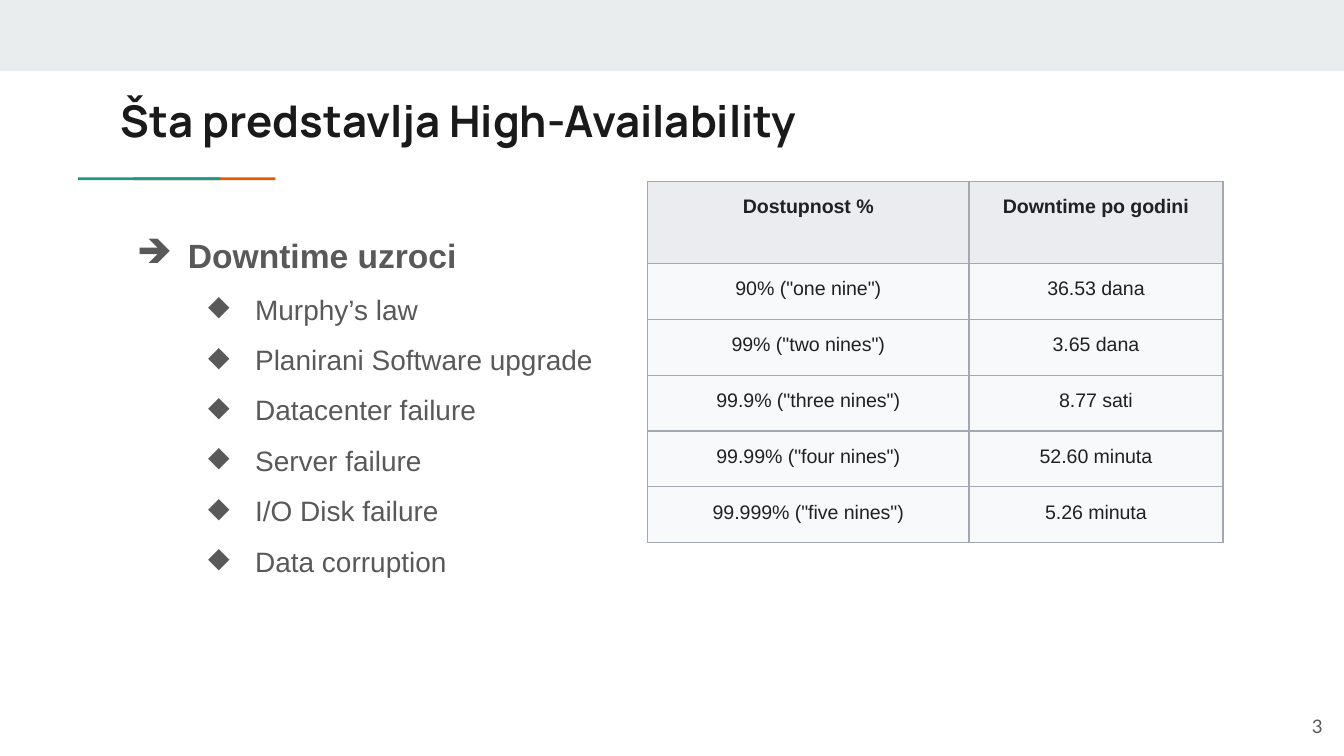
from lxml.etree import SubElement
from pptx import Presentation
from pptx.dml.color import RGBColor
from pptx.enum.shapes import MSO_SHAPE as Shape
from pptx.enum.text import MSO_ANCHOR as Anchor, MSO_AUTO_SIZE as AutoSize, PP_ALIGN as Align
from pptx.oxml.ns import qn
from pptx.util import Inches, Pt

INK = RGBColor(0x1A, 0x1A, 0x1A)
GREY = RGBColor(0x59, 0x59, 0x59)
BAND = RGBColor(0xE9, 0xED, 0xEE)
ORANGE = RGBColor(0xEB, 0x56, 0x00)
TEAL = RGBColor(0x1A, 0x99, 0x88)
TABLE_INK = RGBColor(0x20, 0x21, 0x22)
TABLE_LINE = RGBColor(0xA2, 0xA9, 0xB1)
HEADER_FILL = RGBColor(0xEA, 0xEC, 0xF0)
ROW_FILL = RGBColor(0xF8, 0xF9, 0xFA)

TITLE_FONT, BODY_FONT, NUMBER_FONT = "Manrope", "Arial", "Lato"

UNIT = Inches(0.1)  # the grid has 100 columns and 56.25 rows
COLUMNS, ROWS = 100, 56.25

CAUSES = [
    "Murphy’s law",
    "Planirani Software upgrade",
    "Datacenter failure",
    "Server failure",
    "I/O Disk failure",
    "Data corruption",
]
AVAILABILITY = [
    ("Dostupnost %", "Downtime po godini"),
    ('90% ("one nine")', "36.53 dana"),
    ('99% ("two nines")', "3.65 dana"),
    ('99.9% ("three nines")', "8.77 sati"),
    ('99.99% ("four nines")', "52.60 minuta"),
    ('99.999% ("five nines")', "5.26 minuta"),
]


def grid(*lengths):
    return [round(length * UNIT) for length in lengths]


def set_font(para, name, size, color, bold=False):
    font = para.font
    font.name, font.size, font.bold = name, Pt(size), bold
    font.color.rgb = color


class Page:
    """The current slide and the style of its elements."""

    def __init__(self, deck):
        self.slide = deck.slides.add_slide(deck.slide_layouts[5])

    def bar(self, left, top, width, height, color):
        box = self.slide.shapes.add_shape(Shape.RECTANGLE, *grid(left, top, width, height))
        box.shadow.inherit = False
        box.fill.solid()
        box.fill.fore_color.rgb = color
        box.line.fill.background()

    def frame(self, box, anchor):
        """Give a text box its wrapping, anchor and equal margins."""
        frame = box.text_frame
        frame.word_wrap, frame.auto_size = True, AutoSize.NONE
        frame.vertical_anchor = anchor
        frame.margin_left = frame.margin_right = UNIT
        frame.margin_top = frame.margin_bottom = UNIT
        return frame

    def title(self, text, left, top, width, height):
        box = self.slide.shapes.title
        box.left, box.top, box.width, box.height = grid(left, top, width, height)
        para = self.frame(box, Anchor.TOP).paragraphs[0]
        para.text, para.alignment = text, Align.LEFT
        set_font(para, TITLE_FONT, 23.4, INK, bold=True)

    def text_box(self, left, top, width, height, anchor=Anchor.TOP):
        box = self.slide.shapes.add_textbox(*grid(left, top, width, height))
        return self.frame(box, anchor)

    def number(self, text, *place):
        para = self.text_box(*place, anchor=Anchor.MIDDLE).paragraphs[0]
        para.text, para.alignment = text, Align.RIGHT
        set_font(para, NUMBER_FONT, 10, GREY)

    def bullet(self, para, text, mark, indent, hanging, size, bold=False):
        para.text, para.line_spacing = text, 1.5
        props = para._p.get_or_add_pPr()
        props.set("marL", str(Inches(indent)))
        props.set("indent", str(-Inches(hanging)))
        SubElement(SubElement(props, qn("a:buClr")), qn("a:srgbClr"), val=str(GREY))
        SubElement(props, qn("a:buChar"), char=mark)
        set_font(para, BODY_FONT, size, GREY, bold)

    def bullet_list(self, heading, items, *place):
        frame = self.text_box(*place)
        first = frame.paragraphs[0]
        self.bullet(first, heading, "➔", 0.5, 0.38, 18, bold=True)
        first.space_before = Pt(10)
        for item in items:
            para = frame.add_paragraph()
            para.level = 1
            self.bullet(para, item, "◆", 1, 0.35, 15)

    def cell(self, cell, text, is_header):
        props = cell._tc.get_or_add_tcPr()
        for side in ("lnL", "lnR", "lnT", "lnB"):
            line = SubElement(props, qn(f"a:{side}"), w=str(Pt(0.75)))
            fill = SubElement(line, qn("a:solidFill"))
            SubElement(fill, qn("a:srgbClr"), val=str(TABLE_LINE))
        cell.fill.solid()
        cell.fill.fore_color.rgb = HEADER_FILL if is_header else ROW_FILL
        cell.margin_left = cell.margin_right = Inches(0.06)
        cell.margin_top = cell.margin_bottom = Inches(0.03)
        para = cell.text_frame.paragraphs[0]
        para.text, para.alignment, para.line_spacing = text, Align.CENTER, 1.5
        para.space_before = para.space_after = Pt(11)
        set_font(para, BODY_FONT, 10.5, TABLE_INK, is_header)

    def table(self, rows, left, top, widths, heights):
        place = grid(left, top, sum(widths), sum(heights))
        table = self.slide.shapes.add_table(len(rows), len(widths), *place).table
        for column, width in zip(table.columns, grid(*widths)):
            column.width = width
        for row, height in zip(table.rows, grid(*heights)):
            row.height = height
        for r, texts in enumerate(rows):
            for c, text in enumerate(texts):
                self.cell(table.cell(r, c), text, r == 0)


def main():
    deck = Presentation()
    deck.slide_width, deck.slide_height = grid(COLUMNS, ROWS)
    page = Page(deck)
    page.bar(0, 0, COLUMNS, 5.3, BAND)
    page.bar(9.9, 13.2, 10.6, 0.2, ORANGE)
    page.bar(5.8, 13.2, 10.6, 0.2, TEAL)
    page.title("Šta predstavlja High-Availability", 8, 6, 84.1, 5.9)
    page.number("3", 93.4, 51.9, 6, 4.3)
    page.table(AVAILABILITY, 48.2, 13.5, [23.9, 18.9], [6.1] + [4.16] * 5)
    page.bullet_list("Downtime uzroci", CAUSES, 8, 15, 84.1, 33.6)
    deck.save("out.pptx")


if __name__ == "__main__":
    main()
